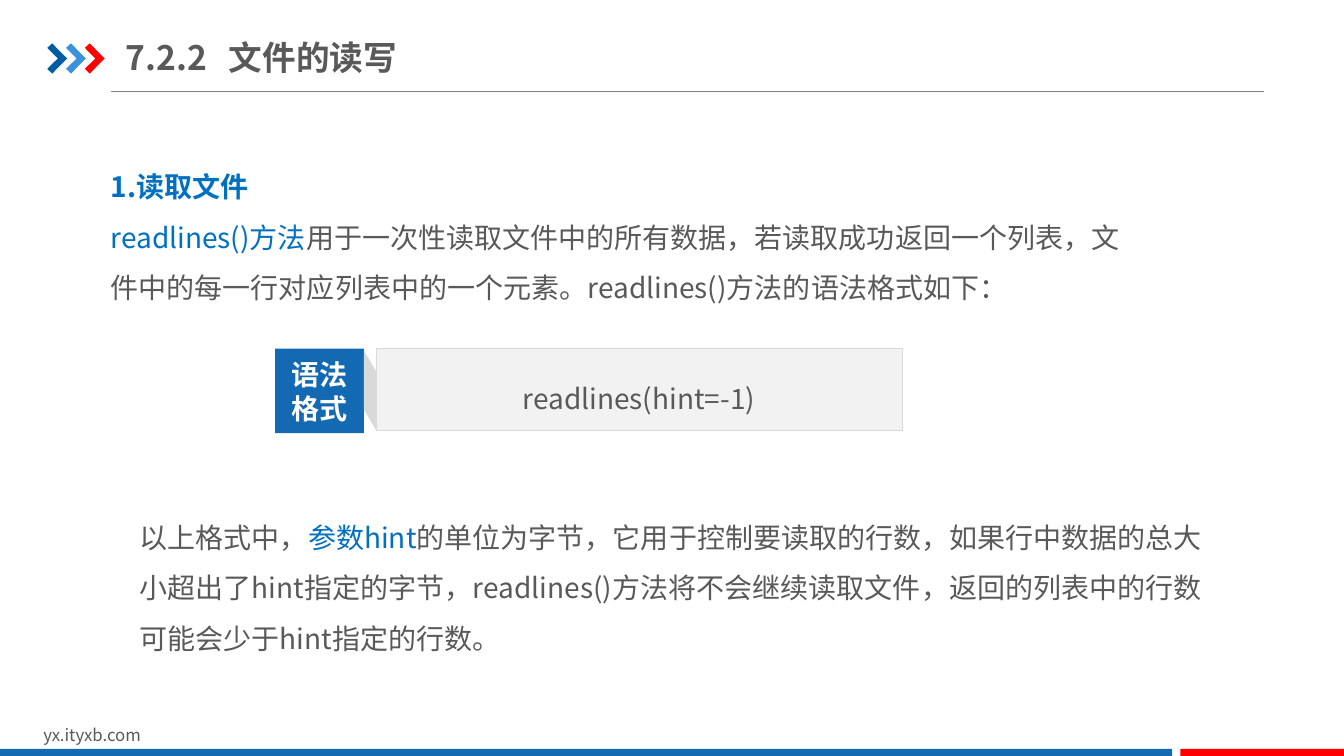
from lxml import etree
from pptx import Presentation
from pptx.dml.color import RGBColor
from pptx.enum.shapes import MSO_CONNECTOR, MSO_SHAPE
from pptx.enum.text import MSO_ANCHOR, MSO_AUTO_SIZE, PP_ALIGN
from pptx.oxml.ns import qn
from pptx.util import Pt

FONT = "Noto Sans CJK SC"
GREY = RGBColor(0x59, 0x59, 0x59)
RULE_GREY = RGBColor(0x80, 0x80, 0x80)
PANEL = RGBColor(0xF2, 0xF2, 0xF2)
EDGE = RGBColor(0xD9, 0xD9, 0xD9)
BLUE = RGBColor(0x13, 0x69, 0xB2)
TEXT_BLUE = RGBColor(0x00, 0x70, 0xC0)
DARK_BLUE = RGBColor(0x00, 0x5D, 0xA2)
LIGHT_BLUE = RGBColor(0x39, 0x92, 0xDB)
RED = RGBColor(0xFF, 0x00, 0x00)
WHITE = RGBColor(0xFF, 0xFF, 0xFF)

RECT = MSO_SHAPE.RECTANGLE
STRAIGHT = MSO_CONNECTOR.STRAIGHT
TOP, MIDDLE = MSO_ANCHOR.TOP, MSO_ANCHOR.MIDDLE
LEFT, CENTER, JUSTIFY = PP_ALIGN.LEFT, PP_ALIGN.CENTER, PP_ALIGN.JUSTIFY
NO_FIT = MSO_AUTO_SIZE.NONE

SLIDE_W, SLIDE_H = 960, 540
TITLE_ONLY = 5


def write_text(sp, paragraphs, size=20, align=LEFT, spacing=1.0, anchor=TOP,
               inset=(7.2, 3.6), wrap=True):
    """Fill a shape; each paragraph is a list of (text, colour, bold) runs."""
    tf = sp.text_frame
    across, down = Pt(inset[0]), Pt(inset[1])
    frame = {"auto_size": NO_FIT, "word_wrap": wrap, "vertical_anchor": anchor,
             "margin_left": across, "margin_right": across,
             "margin_top": down, "margin_bottom": down}
    for name, value in frame.items():
        setattr(tf, name, value)
    for i, runs in enumerate(paragraphs):
        p = tf.add_paragraph() if i else tf.paragraphs[0]
        p.alignment, p.line_spacing = align, spacing
        for text, colour, bold in runs:
            r = p.add_run()
            r.text = text
            for name, value in {"size": Pt(size), "name": FONT, "bold": bold}.items():
                setattr(r.font, name, value)
            r.font.color.rgb = colour
            east_asian = etree.Element(qn("a:ea"), typeface=FONT)
            r.font._element.find(qn("a:latin")).addnext(east_asian)


def add_text(s, box, paragraphs, **style):
    sp = s.shapes.add_textbox(*map(Pt, box))
    write_text(sp, paragraphs, **style)


def paint(sp, fill, line=None):
    sp.shadow.inherit = False
    sp.fill.solid()
    sp.fill.fore_color.rgb = fill
    if line is None:
        sp.line.fill.background()
    else:
        sp.line.color.rgb = line
        sp.line.width = Pt(0.25)


def add_rect(s, box, fill, line=None):
    sp = s.shapes.add_shape(RECT, *map(Pt, box))
    paint(sp, fill, line)
    return sp


def add_outline(s, x, y, points, fill):
    """Draw a closed polygon from points relative to (x, y)."""
    corners = [(Pt(x + dx), Pt(y + dy)) for dx, dy in points]
    builder = s.shapes.build_freeform(*corners[0])
    builder.add_line_segments(corners[1:], close=True)
    paint(builder.convert_to_shape(), fill)


def add_header(s, x, y, w):
    chevron = [(0, 3.2), (3.5, 0), (14.1, 10.8), (3.5, 21.6), (0, 18.2), (7.5, 10.8)]
    for i, colour in enumerate((DARK_BLUE, LIGHT_BLUE, RED)):
        add_outline(s, x + 13.4 * i, y + 10, chevron, colour)

    title = s.shapes.title
    title.left, title.top, title.width, title.height = map(Pt, (x + 56.2, y, 462, 39.6))
    p_pr = title.text_frame.paragraphs[0]._p.get_or_add_pPr()
    tabs = etree.SubElement(p_pr, qn("a:tabLst"))
    etree.SubElement(tabs, qn("a:tab"), pos=str(Pt(73.5)), algn="l")
    write_text(title, [[("7.2.2\t文件的读写", GREY, True)]], size=24,
               anchor=MIDDLE, inset=(0, 5))

    rule_y = Pt(y + 44.5)
    rule = s.shapes.add_connector(STRAIGHT, Pt(x + 45.4), rule_y, Pt(x + w), rule_y)
    rule.line.color.rgb = RULE_GREY
    rule.line.width = Pt(0.75)
    etree.SubElement(rule._element.spPr, qn("a:effectLst"))


def add_syntax_panel(s, x, y, w, h):
    label_w, fold_w = 63.5, 8.5
    panel_x = label_w + fold_w
    panel = add_rect(s, (x + panel_x, y, w - panel_x, h - 2), PANEL, EDGE)
    write_text(panel, [[("readlines(hint=-1)", GREY, False)]],
               align=CENTER, spacing=1.5, anchor=MIDDLE)
    label = (x, y, label_w, h)
    add_rect(s, label, BLUE)
    add_text(s, (x + 4.4, y + 3, 54.7, 55.4),
             [[("语法", WHITE, True)], [("格式", WHITE, True)]],
             align=CENTER, wrap=False)
    fold = [(0, 1.5), (fold_w, 16), (fold_w, h - 2.5), (0, h - 17)]
    add_outline(s, x + label_w, y, fold, EDGE)


def add_footer(s, y, h):
    add_text(s, (23.8, y - 20.9, 229, 21.6), [[("yx.ityxb.com", GREY, False)]], size=12)
    blue_w, gap = 837.3, 5.8
    add_rect(s, (0, y, blue_w, h), BLUE)
    add_rect(s, (blue_w + gap, y, SLIDE_W - blue_w - gap, h), RED)


def add_intro(s, box):
    add_text(s, box, [
        [("1.读取文件", TEXT_BLUE, True)],
        [("readlines()方法", TEXT_BLUE, False),
         ("用于一次性读取文件中的所有数据，若读取成功返回一个列表，文件中的每一行"
          "对应列表中的一个元素。readlines()方法的语法格式如下：", GREY, False)],
    ], spacing=1.5)


def add_explanation(s, box):
    add_text(s, box, [[
        ("以上格式中，", GREY, False),
        ("参数hint", TEXT_BLUE, False),
        ("的单位为字节，它用于控制要读取的行数，如果行中数据的总大小超出了hint指定的字节，"
         "readlines()方法将不会继续读取文件，返回的列表中的行数可能会少于hint指定的行数。",
         GREY, False),
    ]], align=JUSTIFY, spacing=1.5, inset=(9.6, 4.8))


def main():
    prs = Presentation()
    prs.slide_width, prs.slide_height = Pt(SLIDE_W), Pt(SLIDE_H)
    s = prs.slides.add_slide(prs.slide_layouts[TITLE_ONLY])
    add_header(s, 33.8, 21, 869)
    add_footer(s, 535, 5)
    add_intro(s, (72, 105.8, 753.8, 113))
    add_syntax_panel(s, 196.5, 249, 448, 60.5)
    add_explanation(s, (90, 355, 778.3, 124.6))
    prs.save("out.pptx")


if __name__ == "__main__":
    main()
